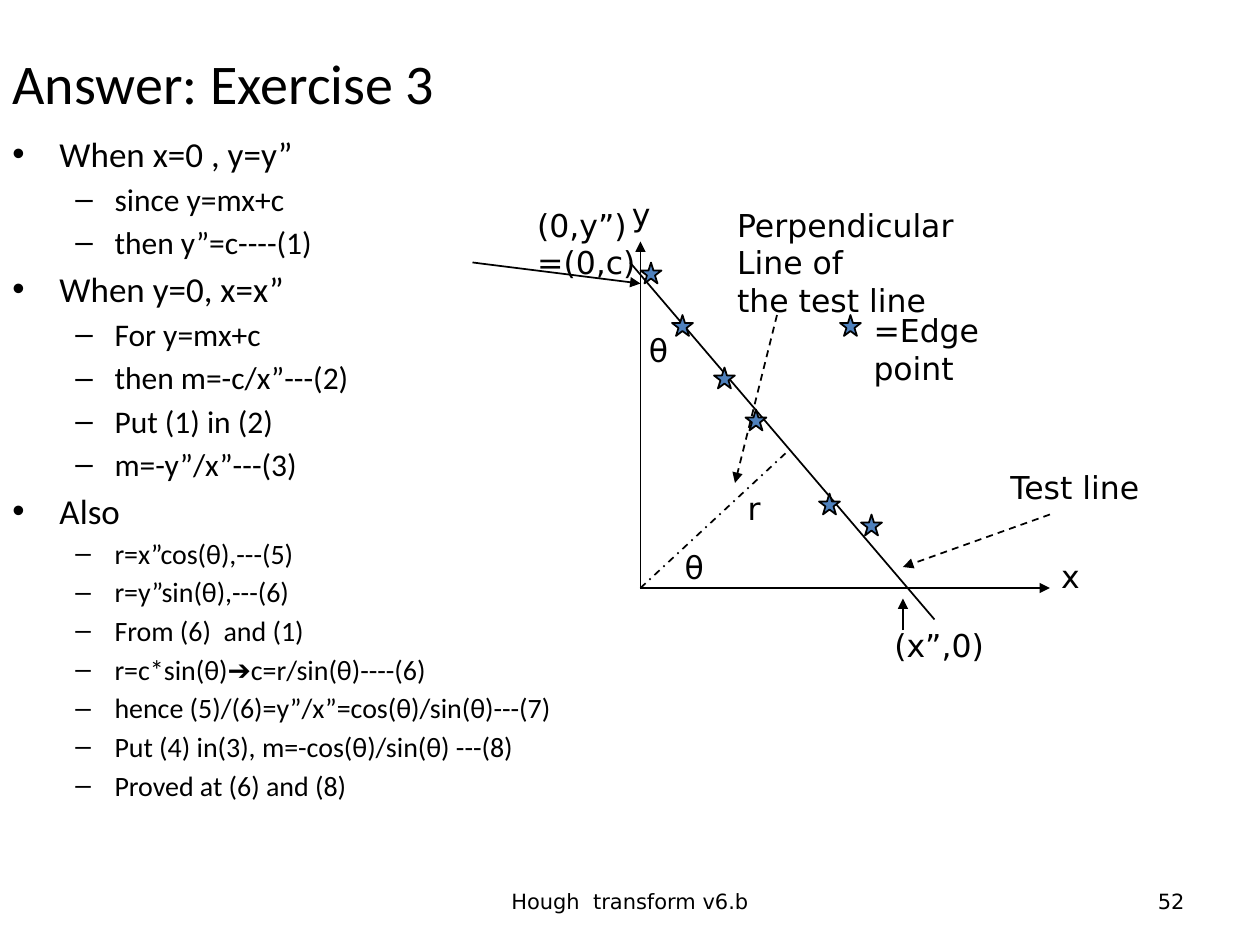
from lxml.etree import SubElement
from pptx import Presentation
from pptx.dml.color import RGBColor
from pptx.enum.dml import MSO_LINE_DASH_STYLE as Dash
from pptx.enum.shapes import MSO_CONNECTOR as Connector, MSO_SHAPE as Shape
from pptx.enum.text import MSO_ANCHOR as Anchor, PP_ALIGN as Align
from pptx.oxml.ns import qn
from pptx.util import Cm, Pt

COLORS = {"ink": "000000", "star": "4F81BD"}
HEADING_FONT, LABEL_FONT = "Calibri", "DejaVu Sans"
GRID = 2.54 / 12  # drawing grid step in cm

# Outline: (heading, size of its points, points)
OUTLINE = [
    ("When x=0 , y=y”", 18, ["since y=mx+c", "then y”=c----(1)"]),
    ("When y=0, x=x”", 18, [
        "For y=mx+c", "then m=-c/x”---(2)", "Put (1) in (2)", "m=-y”/x”---(3)"]),
    ("Also", 16, [
        "r=x”cos(θ),---(5)",
        "r=y”sin(θ),---(6)",
        "From (6)  and (1)",
        "r=c*sin(θ)➔c=r/sin(θ)----(6)",
        "hence (5)/(6)=y”/x”=cos(θ)/sin(θ)---(7)",
        "Put (4) in(3), m=-cos(θ)/sin(θ) ---(8)",
        "Proved at (6) and (8)"]),
]
HEADING_SIZE = 20
# Per level: bullet, left margin and hanging indent in cm
LEVELS = [("•", 0.95, 0.95), ("–", 2.06, 0.79)]

# Diagram labels: text, then left, top, width, height in cm
LABELS = [
    ("Test line", (20.12, 9.32, 3.23, 1.02)),
    ("Perpendicular\nLine of\nthe test line", (14.61, 4.02, 5.08, 3.3)),
    ("=Edge point", (17.36, 6.14, 4.44, 1.02)),
    ("y", (12.49, 3.81, 0.89, 1.02)),
    ("θ", (13.55, 10.92, 0.84, 1.02)),
    ("r", (14.82, 9.74, 0.79, 1.02)),
    ("(x”,0)", (17.78, 12.49, 2.39, 1.02)),
    ("x", (21.14, 11.1, 0.89, 1.02)),
    ("(0,y”)\n=(0,c)", (10.58, 4.02, 2.57, 1.78)),
    ("θ", (12.83, 6.55, 0.84, 1.02)),
]

# Lines in grid steps: start, end, dash, arrowhead
ORIGIN = (61, 56)
LINES = [
    (ORIGIN, (100, 56), None, True),               # x axis
    (ORIGIN, (61, 23), None, True),                # y axis
    (ORIGIN, (75, 43), Dash.DASH_DOT, False),      # perpendicular r
    ((60, 25), (89, 59), None, False),             # test line
    ((100, 49), (86, 54), Dash.DASH, True),        # pointer to test line
    ((74, 30), (70, 46), Dash.DASH, True),         # pointer to perpendicular
    ((45, 25), (61, 27), None, True),              # pointer to y intercept
    ((86, 60), (86, 57), None, True),              # pointer to x intercept
]

# Edge points in grid steps; the first is the legend
STARS = [(80, 30), (78, 47), (68, 35), (82, 49), (61, 25), (64, 30), (71, 39)]
STAR_SIZE = 2


def color(name):
    return RGBColor.from_string(COLORS[name])


def grid(*steps):
    return [Cm(step * GRID) for step in steps]


def add_box(slide, box, anchor=Anchor.TOP):
    frame = slide.shapes.add_textbox(*map(Cm, box)).text_frame
    frame.word_wrap = True
    frame.vertical_anchor = anchor
    return frame


def write(frame, text, size=18, font=LABEL_FONT, align=Align.LEFT, level=None):
    """Add each line of text as a paragraph, filling the empty first one."""
    for line in text.split("\n"):
        first = not frame.text
        paragraph = frame.paragraphs[0] if first else frame.add_paragraph()
        if level is not None:
            bullet, margin, hanging = LEVELS[level]
            paragraph.level = level
            properties = paragraph._p.get_or_add_pPr()
            properties.set("marL", str(Cm(margin)))
            properties.set("indent", str(-Cm(hanging)))
            SubElement(properties, qn("a:buFont"), typeface="Arial")
            SubElement(properties, qn("a:buChar"), char=bullet)
            if not first:
                paragraph.space_before = Pt(round(size * 0.18, 1))
        paragraph.alignment = align
        run = paragraph.add_run()
        run.text = line
        run.font.size = Pt(size)
        run.font.name = font
        run.font.color.rgb = color("ink")


def add_line(slide, start, end, dash, arrow):
    line = slide.shapes.add_connector(Connector.STRAIGHT, *grid(*start, *end))
    line.line.color.rgb = color("ink")
    line.line.width = Pt(1)
    if dash:
        line.line.dash_style = dash
    if arrow:
        SubElement(line.line._get_or_add_ln(), qn("a:tailEnd"), type="triangle")
    SubElement(line._element.spPr, qn("a:effectLst"))


def add_star(slide, left, top):
    star = slide.shapes.add_shape(
        Shape.STAR_5_POINT, *grid(left, top, STAR_SIZE, STAR_SIZE))
    star.shadow.inherit = False
    star.fill.solid()
    star.fill.fore_color.rgb = color("star")
    star.line.color.rgb = color("ink")
    star.line.width = Pt(1)


def main():
    presentation = Presentation()
    presentation.slide_width, presentation.slide_height = Cm(25.4), Cm(19.05)
    slide = presentation.slides.add_slide(presentation.slide_layouts[6])

    # Footer and page number
    write(add_box(slide, (8.68, 17.65, 8.04, 1.02), Anchor.MIDDLE),
          "Hough  transform v6.b", size=12, align=Align.CENTER)
    write(add_box(slide, (18.2, 17.65, 5.93, 1.02), Anchor.MIDDLE),
          "52", size=12, align=Align.RIGHT)

    # Title
    title = add_box(slide, (0, 0.76, 22.86, 3.18))
    title.margin_top = Cm(0.22)
    write(title, "Answer: Exercise 3", size=32, font=HEADING_FONT)

    # Outline
    body = add_box(slide, (0, 2.54, 12.29, 14.48))
    for heading, size, points in OUTLINE:
        write(body, heading, size=HEADING_SIZE, font=HEADING_FONT, level=0)
        write(body, "\n".join(points), size=size, font=HEADING_FONT, level=1)

    # Diagram
    for line in LINES:
        add_line(slide, *line)
    for star in STARS:
        add_star(slide, *star)
    for text, box in LABELS:
        write(add_box(slide, box), text)

    presentation.save("out.pptx")


if __name__ == "__main__":
    main()
